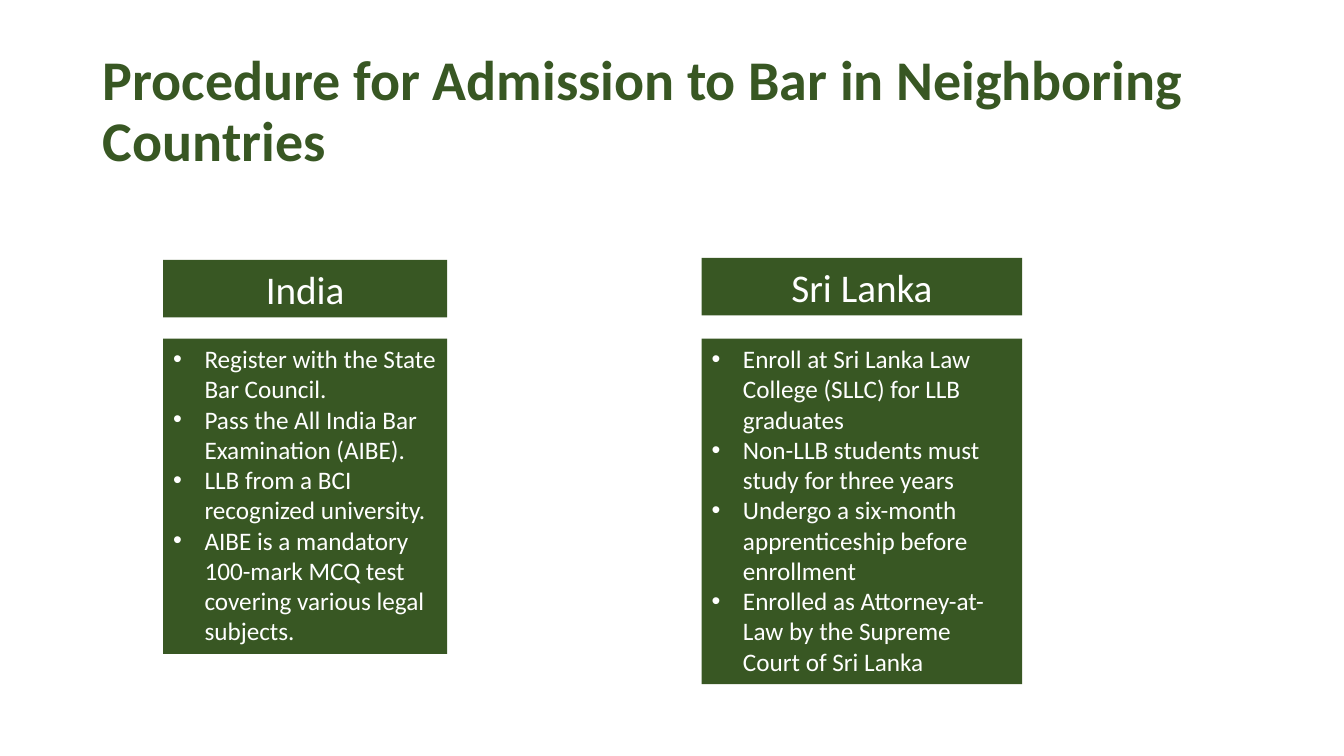
from lxml import etree
from pptx import Presentation
from pptx import util as u
from pptx.dml.color import RGBColor
from pptx.enum import text
from pptx.oxml import ns

GREEN = "385723"
WHITE = "FFFFFF"
FONT = "Calibri"
BULLET_INDENT = u.Cm(0.79)

COUNTRIES = [
    ("India", 4.11, 6.55, 7.16, 7.95, [
        "Register with the State Bar Council.",
        "Pass the All India Bar Examination (AIBE).",
        "LLB from a BCI recognized university.",
        "AIBE is a mandatory 100-mark MCQ test covering various legal subjects.",
    ]),
    ("Sri Lanka", 17.68, 6.5, 8.08, 8.71, [
        "Enroll at Sri Lanka Law College (SLLC) for LLB graduates",
        "Non-LLB students must study for three years",
        "Undergo a six-month apprenticeship before enrollment",
        "Enrolled as Attorney-at-Law by the Supreme Court of Sri Lanka",
    ]),
]


def set_color(target, value):
    target.rgb = RGBColor.from_string(value)


def place(shape, left, top, width, height):
    shape.left, shape.top = u.Cm(left), u.Cm(top)
    shape.width, shape.height = u.Cm(width), u.Cm(height)


def write(shape, content, size, color, alignment, bold=False, spacing=1.0):
    shape.text_frame.text = content
    for paragraph in shape.text_frame.paragraphs:
        paragraph.alignment = alignment
        paragraph.line_spacing = spacing
        paragraph.space_before = u.Pt(0)
        for run in paragraph.runs:
            run.font.name = FONT
            run.font.size = u.Pt(size)
            run.font.bold = bold
            set_color(run.font.color, color)


def add_bullet(paragraph):
    properties = paragraph._p.get_or_add_pPr()
    properties.set("marL", str(BULLET_INDENT))
    properties.set("indent", str(-BULLET_INDENT))
    etree.SubElement(properties, ns.qn("a:buFont"), typeface="Arial")
    etree.SubElement(properties, ns.qn("a:buChar"), char="•")


def make_panel(shape):
    shape.fill.solid()
    set_color(shape.fill.fore_color, GREEN)
    shape.text_frame.vertical_anchor = text.MSO_ANCHOR.TOP
    shape.text_frame.auto_size = text.MSO_AUTO_SIZE.NONE


def fill_title(shape, content):
    place(shape, 2.34, 1.01, 29.21, 3.68)
    write(shape, content, 40, GREEN, text.PP_ALIGN.LEFT, bold=True, spacing=0.9)
    shape.text_frame.vertical_anchor = text.MSO_ANCHOR.MIDDLE


def fill_country(heading, steps, country):
    name, left, top, width, steps_height, items = country
    place(heading, left, top, width, 1.45)
    write(heading, name, 28, WHITE, text.PP_ALIGN.CENTER)
    make_panel(heading)
    place(steps, left, 8.53, width, steps_height)
    write(steps, "\n".join(items), 18, WHITE, text.PP_ALIGN.LEFT)
    make_panel(steps)
    for paragraph in steps.text_frame.paragraphs:
        add_bullet(paragraph)


def main():
    presentation = Presentation()
    presentation.slide_width = u.Cm(33.87)
    presentation.slide_height = u.Cm(19.05)
    comparison_layout = presentation.slide_layouts[4]
    slide = presentation.slides.add_slide(comparison_layout)
    title, *panels = slide.placeholders
    fill_title(title, "Procedure for Admission to Bar in Neighboring Countries")
    for heading, steps, country in zip(panels[::2], panels[1::2], COUNTRIES):
        fill_country(heading, steps, country)
    presentation.save("out.pptx")


if __name__ == "__main__":
    main()
